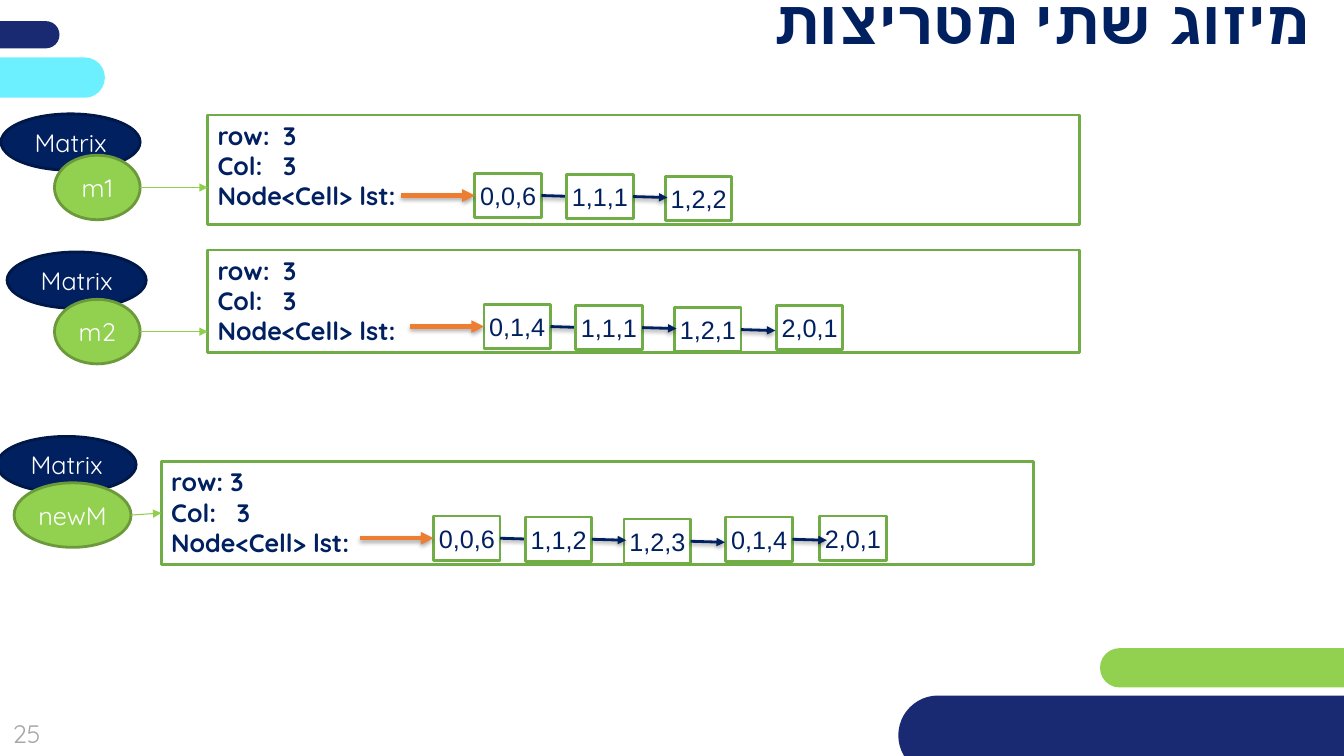
import pptx
import pptx.dml.color
import pptx.enum.shapes
import pptx.enum.text
import pptx.oxml
import pptx.oxml.ns
import pptx.util

PX = 9144  # 100 px to the inch
FONT = "Quicksand"
COLORS = {
    "navy": "002060", "navy_edge": "001847", "indigo": "192A72",
    "cyan": "6CF0FF", "lime": "92D050", "lime_edge": "6C9A3B",
    "pointer": "8FCF4B", "green": "70AD47", "orange": "ED7D31",
    "white": "FFFFFF", "gray": "A6A6A6", "black": "000000",
}
SHAPE = pptx.enum.shapes.MSO_SHAPE
ALIGN = pptx.enum.text.PP_ALIGN
ANCHOR = pptx.enum.text.MSO_ANCHOR

CELL_WIDTH, CELL_HEIGHT = 66, 44
CELL_OFFSETS = [(0, 0), (91, 1), (189, 3), (290, 1), (383, 0)]
VALUE_TAB = 65
PILLS = [
    ((-266, 21, 325, 27), "indigo"),
    ((1091, 643, 521, 39), "lime"),
    ((-221, 57, 325, 40), "cyan"),
    ((891, 690, 566, 79), "indigo"),
]
# Offsets of class, variable and chain are measured from the record's corner.
MATRICES = [
    {"name": "m1", "record": (206, 114, 865, 109), "row": "row:\t3",
     "class": (-205, -1), "variable": (-152, 40, 85), "chain": (265, 58),
     "cells": ["0,0,6", "1,1,1", "1,2,2"], "to_middle": False},
    {"name": "m2", "record": (206, 248, 865, 102), "row": "row:\t3",
     "class": (-199, 2), "variable": (-152, 49, 85), "chain": (274, 54),
     "cells": ["0,1,4", "1,1,1", "1,2,1", "2,0,1"], "to_middle": False},
    {"name": "newM", "record": (160, 458, 865, 102), "row": "row: 3",
     "class": (-163, -25), "variable": (-146, 21, 116), "chain": (270, 54),
     "cells": ["0,0,6", "1,1,2", "1,2,3", "0,1,4", "2,0,1"], "to_middle": True},
]


def px(*lengths):
    return [pptx.util.Emu(length * PX) for length in lengths]


def rgb(color):
    return pptx.dml.color.RGBColor.from_string(COLORS[color])


def element(xml):
    """Parse one drawing element, given without its namespace prefix."""
    return pptx.oxml.parse_xml(
        xml.replace("<", "<a:").replace("<a:/", "</a:")
        .replace(">", f" {pptx.oxml.ns.nsdecls('a')}>", 1)
        if "/>" not in xml.split(">", 1)[0] + ">"
        else xml.replace("<", "<a:").replace("/>", f" {pptx.oxml.ns.nsdecls('a')}/>"))


def add_run(paragraph, text, color, size=18, bold=False, complex_font=None):
    run = paragraph.add_run()
    run.text = text
    run.font.name = FONT
    run.font.size = pptx.util.Pt(size)
    run.font.bold = bold
    run.font.color.rgb = rgb(color)
    if complex_font:
        run.font._element.append(element(f'<cs typeface="{complex_font}"/>'))


def center_right_to_left(paragraph):
    paragraph.alignment = ALIGN.CENTER
    paragraph._p.get_or_add_pPr().set("rtl", "1")


def add_block(shapes, kind, box, fill, edge=None):
    shape = shapes.add_shape(kind, *px(*box))
    shape.shadow.inherit = False
    shape.fill.solid()
    shape.fill.fore_color.rgb = rgb(fill)
    if edge:
        shape.line.color.rgb = rgb(edge)
        shape.line.width = pptx.util.Pt(2)
    else:
        shape.line.fill.background()
    return shape


def add_label(shapes, kind, box, text, fill, edge, color, complex_font=None):
    """Add a filled shape with one centred line of text and no insets."""
    shape = add_block(shapes, kind, box, fill, edge)
    frame = shape.text_frame
    frame.word_wrap = True
    frame.vertical_anchor = ANCHOR.MIDDLE
    frame.margin_left = frame.margin_right = 0
    frame.margin_top = frame.margin_bottom = 0
    center_right_to_left(frame.paragraphs[0])
    add_run(frame.paragraphs[0], text, color, complex_font=complex_font)
    return shape


def add_arrow(shapes, start, end, color, width, shadow_alpha=None):
    arrow = shapes.add_connector(
        pptx.enum.shapes.MSO_CONNECTOR.STRAIGHT, *px(*start, *end))
    arrow.line.color.rgb = rgb(color)
    arrow.line.width = pptx.util.Pt(width)
    arrow.line._get_or_add_ln().append(element('<tailEnd type="triangle"/>'))
    effects = element("<effectLst/>")
    if shadow_alpha:
        effects.append(element(
            '<outerShdw blurRad="40000" dist="21000" dir="5400000" rotWithShape="0">'
            f'<srgbClr val="{COLORS["black"]}"><alpha val="{shadow_alpha * 1000}"/>'
            "</srgbClr></outerShdw>"))
    arrow._element.spPr.append(effects)
    return arrow


def add_chain(slide, left, top, values):
    """Draw the linked list whose first cell has the given corner."""
    shapes = slide.shapes.add_group_shape().shapes
    middle = top + CELL_HEIGHT // 2
    corners = [(left + x, top + y) for x, y in CELL_OFFSETS[:len(values)]]

    def add_cell(index):
        return add_label(
            shapes, SHAPE.RECTANGLE, (*corners[index], CELL_WIDTH, CELL_HEIGHT),
            values[index], "white", "green", "navy", complex_font="Arial")

    def add_link(index, cell):
        x, y = corners[index][0] + CELL_WIDTH, corners[index][1] + CELL_HEIGHT // 2
        link = add_arrow(shapes, (x, y), (x + 34, y + 1), "navy", 2, 38)
        link.begin_connect(cell, 3)

    first = add_cell(0)
    add_link(0, first)
    others = [add_cell(index) for index in range(1, len(values))]
    for index, cell in enumerate(others[:-1], 1):
        add_link(index, cell)
    head = add_arrow(shapes, (left - 73, middle), (left, middle), "orange", 3, 35)
    head.end_connect(first, 1)


def add_record(slide, box, lines):
    record = add_block(slide.shapes, SHAPE.RECTANGLE, box, "white", "green")
    frame = record.text_frame
    frame.word_wrap = True
    frame.vertical_anchor = ANCHOR.TOP
    for index, line in enumerate(lines):
        paragraph = frame.add_paragraph() if index else frame.paragraphs[0]
        paragraph.alignment = ALIGN.LEFT
        paragraph._p.get_or_add_pPr().append(element(
            f'<tabLst><tab pos="{VALUE_TAB * PX}" algn="l"/></tabLst>'))
        add_run(paragraph, line, "navy", bold=True)
    return record


def add_matrix(slide, matrix):
    left, top, width, height = matrix["record"]
    record = add_record(slide, matrix["record"],
                        [matrix["row"], "Col:\t3", "Node<Cell> lst:"])
    chain_x, chain_y = matrix["chain"]
    add_chain(slide, left + chain_x, top + chain_y, matrix["cells"])

    class_x, class_y = matrix["class"]
    add_label(slide.shapes, SHAPE.OVAL, (left + class_x, top + class_y, 138, 56),
              "Matrix", "navy", "navy_edge", "white")
    x, y, variable_width = matrix["variable"]
    add_label(slide.shapes, SHAPE.OVAL, (left + x, top + y, variable_width, 64),
              matrix["name"], "lime", "lime_edge", "white")

    middle = top + y + 32
    pointer = add_arrow(slide.shapes, (left + x + variable_width, middle),
                        (left, middle), "pointer", 0.75)
    if matrix["to_middle"]:
        pointer.end_connect(record, 1)


def add_title(slide, box, text):
    title = slide.shapes.title
    title.left, title.top, title.width, title.height = px(*box)
    title.text_frame.vertical_anchor = ANCHOR.MIDDLE
    paragraph = title.text_frame.paragraphs[0]
    center_right_to_left(paragraph)
    add_run(paragraph, text, "navy", size=44, bold=True)


def add_page_number(slide, box, number):
    frame = slide.shapes.add_textbox(*px(*box)).text_frame
    frame.word_wrap = True
    frame.vertical_anchor = ANCHOR.MIDDLE
    frame.paragraphs[0].alignment = ALIGN.CENTER
    add_run(frame.paragraphs[0], number, "gray")


def main():
    presentation = pptx.Presentation()
    presentation.slide_width, presentation.slide_height = px(1333, 750)
    slide = presentation.slides.add_slide(presentation.slide_layouts[5])
    for box, color in PILLS:
        pill = add_block(slide.shapes, SHAPE.ROUNDED_RECTANGLE, box, color)
        pill.adjustments[0] = 0.5
    add_page_number(slide, (-18, 699, 89, 57), "25")
    add_title(slide, (754, -20, 558, 79), "מיזוג שתי מטריצות")
    for matrix in MATRICES:
        add_matrix(slide, matrix)
    presentation.save("out.pptx")


if __name__ == "__main__":
    main()
